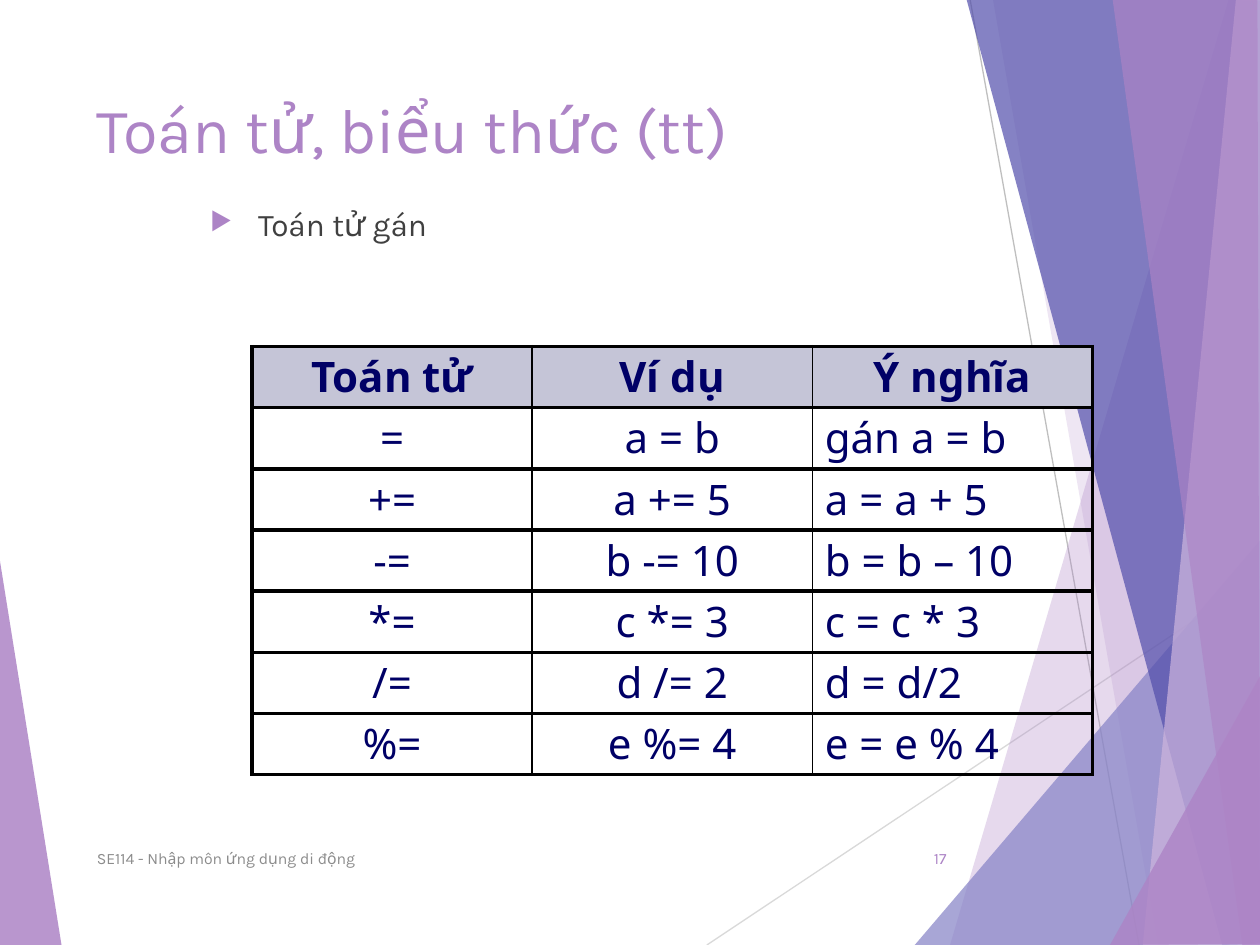
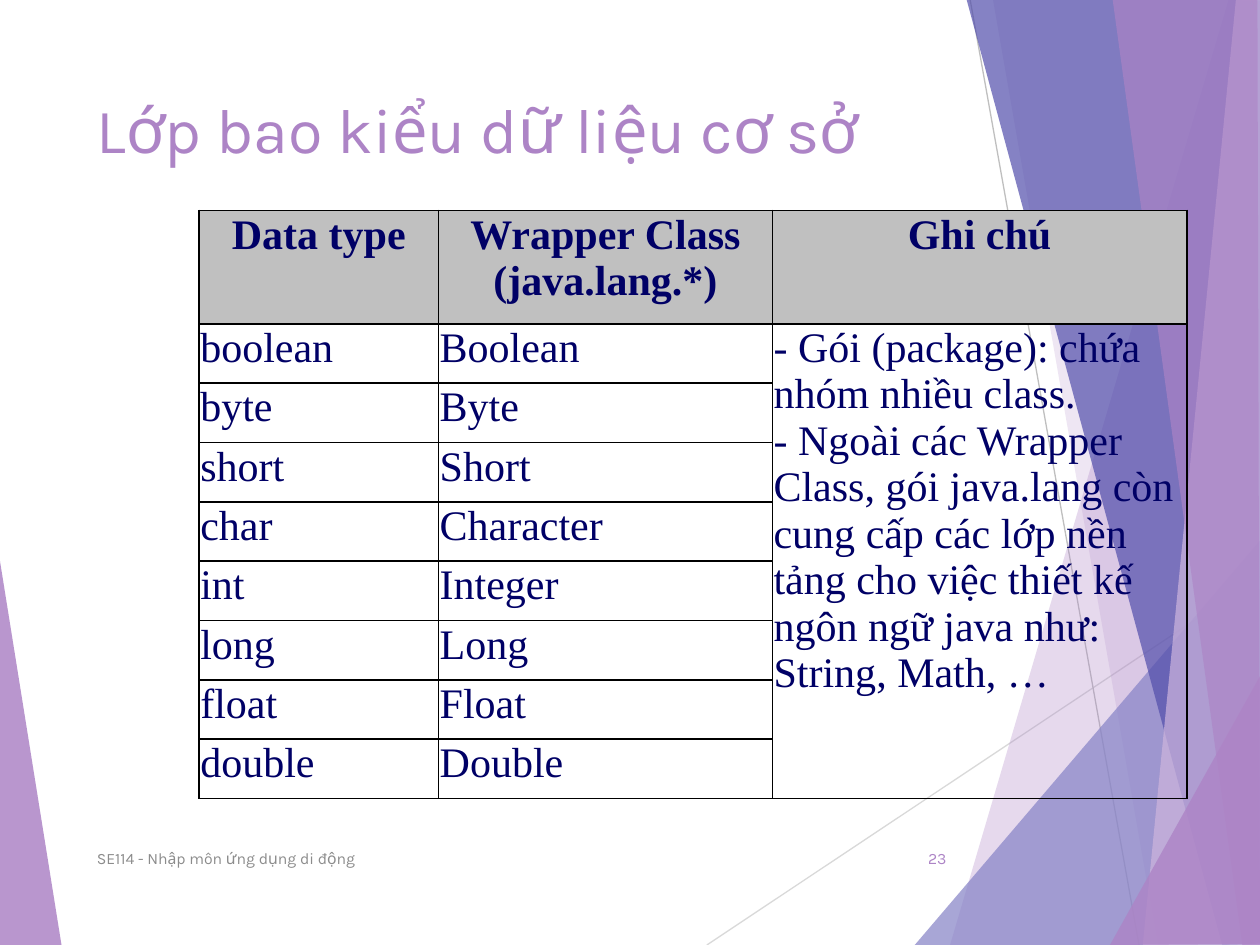
from dataclasses import dataclass
from typing import NamedTuple

from lxml import etree
from pptx import Presentation
from pptx.dml.color import RGBColor
from pptx.enum.shapes import MSO_CONNECTOR
from pptx.enum.text import MSO_ANCHOR, PP_ALIGN
from pptx.oxml.ns import qn
from pptx.util import Emu, Inches, Pt

LEFT, CENTER, RIGHT = PP_ALIGN.LEFT, PP_ALIGN.CENTER, PP_ALIGN.RIGHT
TOP, MIDDLE = MSO_ANCHOR.TOP, MSO_ANCHOR.MIDDLE
STRAIGHT = MSO_CONNECTOR.STRAIGHT


@dataclass(frozen=True)
class Theme:
    purple: str = "AD84C6"
    lilac: str = "CEB5DD"
    periwinkle: str = "8784C7"
    indigo: str = "524EAB"
    body: str = "404040"
    footer: str = "8C8C8C"
    navy: str = "000066"
    black: str = "000000"
    font: str = "Karla"
    title_size: int = 36
    table_size: int = 24
    body_size: int = 18
    footer_size: int = 9


THEME = Theme()


class Band(NamedTuple):
    color: str
    opacity: int
    points: tuple[tuple[float, float], ...]


class Ray(NamedTuple):
    color: str
    start: tuple[float, float]
    end: tuple[float, float]


class Box(NamedTuple):
    left: float
    top: float
    width: float
    height: float


class TextStyle(NamedTuple):
    size: int
    color: str
    font: str = THEME.font
    bold: bool = False


@dataclass(frozen=True)
class TableStyle:
    font: str
    header_fill: str
    alignments: tuple[PP_ALIGN, ...]
    anchor: MSO_ANCHOR
    left_margins: tuple[float, ...]
    frame_line: float
    row_line: float
    column_line: float


LEFT_BAND = Band(THEME.purple, 85, ((-0.01, 4.39), (0.49, 7.51), (-0.01, 7.5)))
RAYS = (
    Ray("D9D9D9", (5.61, 7.5), (10.01, 4.57)),
    Ray("BFBFBF", (7.7, 0), (9.04, 7.5)),
)
RIGHT_BANDS = (
    Band(THEME.purple, 30, ((9.75, 0), (7.54, 7.5), (10.02, 7.51), (10.01, 0.01))),
    Band(THEME.purple, 20, ((7.88, -0.01), (9.19, 7.5), (10.01, 7.5), (10.01, -0.01))),
    Band(THEME.periwinkle, 72, ((7.26, 7.5), (10, 4.29), (10.01, 7.5))),
    Band(THEME.indigo, 70, ((7.67, -0.01), (9.7, 7.5), (10.01, 7.49), (10.01, -0.01))),
    Band(THEME.lilac, 70, ((9.81, -0.01), (9.07, 7.5), (10.01, 7.5), (10, -0.01))),
    Band(THEME.purple, 65, ((8.83, -0.01), (9.86, 7.5), (10, 7.5), (9.98, -0.01))),
    Band(THEME.purple, 80, ((8.81, 7.5), (10.01, 5.35), (10.01, 7.49))),
)

TITLE_BOX = Box(0.67, 0.67, 6.94, 1.44)
FOOTER_BOX = Box(0.67, 6.61, 5.06, 0.4)
NUMBER_BOX = Box(7.05, 6.61, 0.56, 0.4)
BULLET_BOX = Box(1.57, 1.58, 8.2, 0.92)
FOOTER_TEXT = "SE114 - Nhập môn ứng dụng di động"
CELL_MARGIN = 0.01

OPERATOR_STYLE = TableStyle(
    font="Noto Sans", header_fill="C5C5D7", alignments=(CENTER, CENTER, LEFT),
    anchor=TOP, left_margins=(CELL_MARGIN, CELL_MARGIN, 0.1),
    frame_line=2.25, row_line=2.25, column_line=1,
)
OPERATOR_ROWS = (
    ("Toán tử", "Ví dụ", "Ý nghĩa"),
    ("=", "a = b", "gán a = b"),
    ("+=", "a += 5", "a = a + 5"),
    ("-=", "b -= 10", "b = b – 10"),
    ("*=", "c *= 3", "c = c * 3"),
    ("/=", "d /= 2", "d = d/2"),
    ("%=", "e %= 4", "e = e % 4"),
)

WRAPPER_STYLE = TableStyle(
    font="Times New Roman", header_fill="C0C0C0", alignments=(LEFT, LEFT, LEFT),
    anchor=TOP, left_margins=(CELL_MARGIN,) * 3,
    frame_line=1, row_line=1, column_line=1,
)
WRAPPER_NOTE = (
    "- Gói (package): chứa nhóm nhiều class.\n"
    "- Ngoài các Wrapper Class, gói java.lang còn cung cấp các lớp nền tảng "
    "cho việc thiết kế ngôn ngữ java như: String, Math, …"
)
WRAPPER_ROWS = (
    ("Data type", "Wrapper Class (java.lang.*)", "Ghi chú"),
    ("boolean", "Boolean", WRAPPER_NOTE),
    ("byte", "Byte", ""),
    ("short", "Short", ""),
    ("char", "Character", ""),
    ("int", "Integer", ""),
    ("long", "Long", ""),
    ("float", "Float", ""),
    ("double", "Double", ""),
)


def rgb(color: str) -> RGBColor:
    return RGBColor.from_string(color)


def format_text(text_frame, style: TextStyle, alignment: PP_ALIGN) -> None:
    for paragraph in text_frame.paragraphs:
        paragraph.alignment = alignment
        for run in paragraph.runs:
            run.font.name = style.font
            run.font.size = Pt(style.size)
            run.font.bold = style.bold
            run.font.color.rgb = rgb(style.color)


def add_text(slide, text: str, box: Box, style: TextStyle,
             alignment: PP_ALIGN = LEFT, anchor: MSO_ANCHOR = TOP):
    text_frame = slide.shapes.add_textbox(*map(Inches, box)).text_frame
    text_frame.word_wrap = True
    text_frame.vertical_anchor = anchor
    text_frame.text = text
    format_text(text_frame, style, alignment)
    return text_frame


def add_bullet(slide, text: str) -> None:
    text_frame = add_text(slide, text, BULLET_BOX, TextStyle(THEME.body_size, THEME.body))
    paragraph = text_frame.paragraphs[0]
    paragraph.space_before = Pt(10)
    properties = paragraph._p.get_or_add_pPr()
    properties.set("marL", str(Inches(0.38)))
    properties.set("indent", str(-Inches(0.38)))
    bullet_color = etree.SubElement(properties, qn("a:buClr"))
    etree.SubElement(bullet_color, qn("a:srgbClr"), val=THEME.purple)
    etree.SubElement(properties, qn("a:buSzPct"), val="80000")
    etree.SubElement(properties, qn("a:buChar"), char="▶")


def add_band(slide, band: Band) -> None:
    start, *others = [(Inches(x), Inches(y)) for x, y in band.points]
    builder = slide.shapes.build_freeform(*start)
    builder.add_line_segments(others, close=True)
    shape = builder.convert_to_shape()
    shape.shadow.inherit = False
    shape.line.fill.background()
    shape.fill.solid()
    shape.fill.fore_color.rgb = rgb(band.color)
    color = next(shape._element.iter(qn("a:srgbClr")))
    etree.SubElement(color, qn("a:alpha"), val=str(band.opacity * 1000))


def add_ray(slide, ray: Ray) -> None:
    connector = slide.shapes.add_connector(STRAIGHT, *map(Inches, ray.start + ray.end))
    connector.line.color.rgb = rgb(ray.color)
    connector.line.width = Pt(0.75)
    etree.SubElement(connector._element.spPr, qn("a:effectLst"))


def set_borders(cell, widths: dict[str, float]) -> None:
    """Draw black cell borders; widths must run in the order L, R, T, B."""
    properties = cell._tc.get_or_add_tcPr()
    for position, (side, width) in enumerate(widths.items()):
        line = etree.Element(qn(f"a:ln{side}"), w=str(Pt(width)))
        fill = etree.SubElement(line, qn("a:solidFill"))
        etree.SubElement(fill, qn("a:srgbClr"), val=THEME.black)
        properties.insert(position, line)


def add_grid(slide, rows: tuple[tuple[str, ...], ...], box: Box, style: TableStyle,
             column_widths: tuple[float, ...], row_heights: tuple[float, ...]):
    last_row, last_column = len(rows) - 1, len(column_widths) - 1
    frame = slide.shapes.add_table(len(rows), len(column_widths), *map(Inches, box))
    table = frame.table
    table.first_row = table.horz_banding = False
    for column, width in zip(table.columns, column_widths):
        column.width = Inches(width)
    for row, height in zip(table.rows, row_heights):
        row.height = Inches(height)

    for row_index, texts in enumerate(rows):
        is_header = row_index == 0
        for column_index, text in enumerate(texts):
            cell = table.cell(row_index, column_index)
            cell.margin_right = cell.margin_top = cell.margin_bottom = Inches(CELL_MARGIN)
            cell.margin_left = Inches(
                CELL_MARGIN if is_header else style.left_margins[column_index])
            cell.vertical_anchor = style.anchor
            cell.text_frame.text = text
            format_text(
                cell.text_frame,
                TextStyle(THEME.table_size, THEME.navy, style.font, is_header),
                CENTER if is_header else style.alignments[column_index],
            )
            if is_header:
                cell.fill.solid()
                cell.fill.fore_color.rgb = rgb(style.header_fill)
            else:
                cell.fill.background()
            set_borders(cell, {
                "L": style.frame_line if column_index == 0 else style.column_line,
                "R": style.frame_line if column_index == last_column else style.column_line,
                "T": style.frame_line if is_header else style.row_line,
                "B": style.frame_line if row_index == last_row else style.row_line,
            })
    return table


def add_base_slide(presentation, title: str, number: int):
    """Add a slide with the bands, title, footer and number that all slides share."""
    slide = presentation.slides.add_slide(presentation.slide_layouts[6])
    add_band(slide, LEFT_BAND)
    for ray in RAYS:
        add_ray(slide, ray)
    for band in RIGHT_BANDS:
        add_band(slide, band)
    add_text(slide, title, TITLE_BOX, TextStyle(THEME.title_size, THEME.purple))
    add_text(slide, FOOTER_TEXT, FOOTER_BOX,
             TextStyle(THEME.footer_size, THEME.footer), anchor=MIDDLE)
    add_text(slide, str(number), NUMBER_BOX,
             TextStyle(THEME.footer_size, THEME.purple), RIGHT, MIDDLE)
    return slide


def add_operator_slide(presentation) -> None:
    slide = add_base_slide(presentation, "Toán tử, biểu thức (tt)", 17)
    add_bullet(slide, "Toán tử gán")
    box = Box(2, 2.75, 6.67, 3.4)
    row_count = len(OPERATOR_ROWS)
    add_grid(slide, OPERATOR_ROWS, box, OPERATOR_STYLE,
             (box.width / 3,) * 3, (box.height / row_count,) * row_count)


def add_wrapper_slide(presentation) -> None:
    slide = add_base_slide(presentation, "Lớp bao kiểu dữ liệu cơ sở", 23)
    box = Box(1.58, 1.67, 7.83, 4.67)
    header_height = 0.9
    type_count = len(WRAPPER_ROWS) - 1
    type_height = (box.height - header_height) / type_count
    table = add_grid(slide, WRAPPER_ROWS, box, WRAPPER_STYLE,
                     (1.9, 2.65, 3.29), (header_height,) + (type_height,) * type_count)
    table.cell(1, 2).merge(table.cell(type_count, 2))


def main() -> None:
    presentation = Presentation()
    presentation.slide_width: Emu = Inches(10)
    presentation.slide_height: Emu = Inches(7.5)
    add_operator_slide(presentation)
    add_wrapper_slide(presentation)
    presentation.save("out.pptx")


if __name__ == "__main__":
    main()
